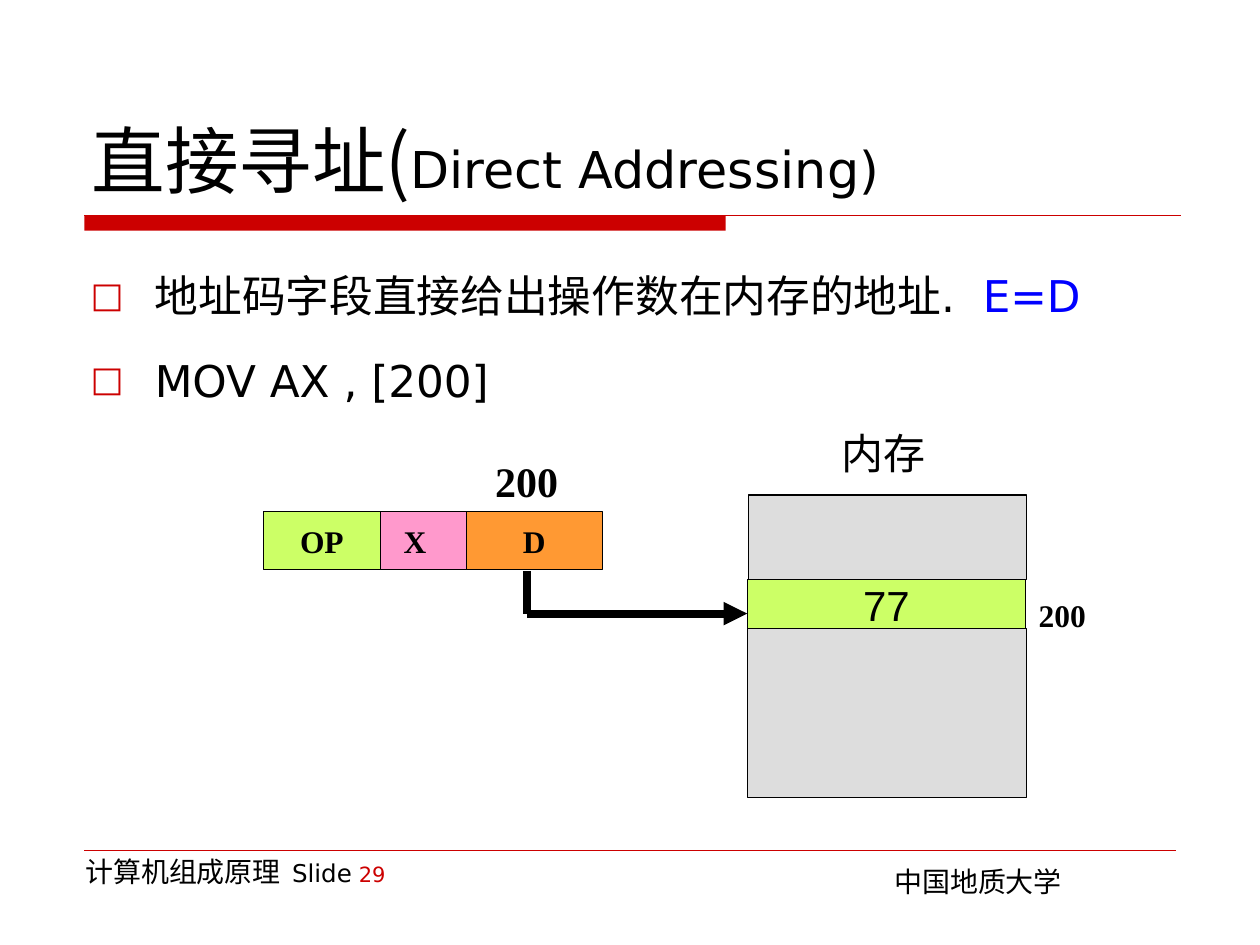
from dataclasses import dataclass
from typing import Optional

from lxml.etree import SubElement
from pptx import Presentation
from pptx.dml.color import RGBColor
from pptx.enum.shapes import MSO_CONNECTOR, MSO_SHAPE
from pptx.enum.text import MSO_ANCHOR, PP_ALIGN
from pptx.oxml.ns import qn
from pptx.util import Inches, Pt

BLACK = RGBColor(0x00, 0x00, 0x00)
RED = RGBColor(0xCC, 0x00, 0x00)
BLUE = RGBColor(0x00, 0x00, 0xFF)
GRAY = RGBColor(0xDD, 0xDD, 0xDD)
LIME = RGBColor(0xCC, 0xFF, 0x66)
PINK = RGBColor(0xFF, 0x99, 0xCC)
ORANGE = RGBColor(0xFF, 0x99, 0x33)

SANS = "DejaVu Sans"
CJK = "Noto Sans CJK JP"
SERIF = "Times New Roman"


@dataclass
class TextRun:
    text: str
    size: float
    font: str = SANS
    color: RGBColor = BLACK
    bold: bool = False
    tracking: float = 0


@dataclass
class Box:
    left: float
    top: float
    width: float
    height: float
    fill: RGBColor
    label: Optional[TextRun] = None
    right_inset: float = 0.1


@dataclass
class Caption:
    left: float
    top: float
    width: float
    height: float
    runs: list[TextRun]
    centered: bool = True
    anchor: MSO_ANCHOR = MSO_ANCHOR.TOP


def add_runs(paragraph, runs: list[TextRun]) -> None:
    for text_run in runs:
        run = paragraph.add_run()
        run.text = text_run.text
        font = run.font
        font.size = Pt(text_run.size)
        font.name = text_run.font
        font.bold = text_run.bold
        font.color.rgb = text_run.color
        if text_run.tracking:
            run._r.get_or_add_rPr().set("spc", str(int(text_run.tracking * 100)))


def add_box(slide, box: Box, outlined: bool = True) -> None:
    shape = slide.shapes.add_shape(
        MSO_SHAPE.RECTANGLE, Inches(box.left), Inches(box.top),
        Inches(box.width), Inches(box.height))
    shape.shadow.inherit = False
    shape.fill.solid()
    shape.fill.fore_color.rgb = box.fill
    if outlined:
        shape.line.color.rgb = BLACK
        shape.line.width = Pt(0.75)
    else:
        shape.line.fill.background()
    if box.label:
        text_frame = shape.text_frame
        text_frame.word_wrap = False
        text_frame.vertical_anchor = MSO_ANCHOR.MIDDLE
        text_frame.margin_right = Inches(box.right_inset)
        text_frame.paragraphs[0].alignment = PP_ALIGN.CENTER
        add_runs(text_frame.paragraphs[0], [box.label])


def add_caption(slide, caption: Caption):
    """Add a text box; centred captions use its full width on one line."""
    shape = slide.shapes.add_textbox(
        Inches(caption.left), Inches(caption.top),
        Inches(caption.width), Inches(caption.height))
    text_frame = shape.text_frame
    text_frame.word_wrap = not caption.centered
    text_frame.vertical_anchor = caption.anchor
    paragraph = text_frame.paragraphs[0]
    paragraph.alignment = PP_ALIGN.LEFT
    if caption.centered:
        paragraph.alignment = PP_ALIGN.CENTER
        text_frame.margin_left = text_frame.margin_right = Inches(0)
    add_runs(paragraph, caption.runs)
    return text_frame


def format_bullet(paragraph) -> None:
    properties = paragraph._p.get_or_add_pPr()
    properties.set("marL", str(Inches(0.51)))
    properties.set("indent", str(-Inches(0.51)))
    color = SubElement(properties, qn("a:buClr"))
    SubElement(color, qn("a:srgbClr"), val=str(RED))
    SubElement(properties, qn("a:buSzPct"), val="80000")
    SubElement(properties, qn("a:buFont"), typeface=SANS)
    SubElement(properties, qn("a:buChar"), char="□")
    paragraph.line_spacing = 1.4


def add_line(slide, start: tuple[float, float], end: tuple[float, float],
             color: RGBColor, width: float, arrow: bool = False) -> None:
    connector = slide.shapes.add_connector(
        MSO_CONNECTOR.STRAIGHT, Inches(start[0]), Inches(start[1]),
        Inches(end[0]), Inches(end[1]))
    connector.line.color.rgb = color
    connector.line.width = Pt(width)
    if arrow:
        SubElement(connector.line._get_or_add_ln(), qn("a:tailEnd"), type="triangle")
    SubElement(connector._element.spPr, qn("a:effectLst"))


def add_frame(slide) -> None:
    """Add the title, its rule and the footer."""
    add_box(slide, Box(0.67, 1.71, 5.09, 0.12, RED), outlined=False)
    add_line(slide, (0.67, 1.71), (9.37, 1.71), RED, 1)
    add_line(slide, (0.67, 6.75), (9.33, 6.75), RED, 0.25)
    add_caption(slide, Caption(7, 6.81, 3, 0.52, [TextRun("中国地质大学", 16)], False))
    add_caption(slide, Caption(0.58, 6.73, 3, 0.52, [
        TextRun("计算机组成原理", 16), TextRun(" ", 16, tracking=2.8),
        TextRun("Slide", 14), TextRun(" ", 12), TextRun("29", 12, color=RED)], False))
    add_caption(slide, Caption(0.63, 0.33, 8.75, 1.33, [
        TextRun("直接寻址(", 42, CJK), TextRun("Direct Addressing)", 29)],
        False, MSO_ANCHOR.BOTTOM))


def add_body(slide) -> None:
    text_frame = add_caption(slide, Caption(0.62, 1.92, 8.75, 2.25, [
        TextRun("地址码字段直接给出操作数在内存的地址.", 25),
        TextRun(" ", 25, tracking=8), TextRun("E=D", 25, color=BLUE)], False))
    example = text_frame.add_paragraph()
    add_runs(example, [TextRun("MOV AX , [200]", 25)])
    for paragraph in text_frame.paragraphs:
        format_bullet(paragraph)
    example.space_before = Pt(6.2)


def add_diagram(slide) -> None:
    memory = [
        Box(5.94, 3.93, 2.21, 0.67, GRAY),
        Box(5.93, 4.6, 2.21, 0.39, LIME, TextRun("77", 24, "Arial")),
        Box(5.93, 4.99, 2.22, 1.34, GRAY),
    ]
    for box in memory:
        add_box(slide, box)

    corner = (4.18, 4.87)
    add_line(slide, corner, (5.93, 4.87), BLACK, 4.5, arrow=True)
    add_line(slide, corner, (4.18, 4.53), BLACK, 4.5)

    left = 2.09
    fields = [("OP", 0.93, LIME, 0.1), ("X", 0.68, PINK, 0.23), ("D", 1.08, ORANGE, 0.1)]
    for name, width, fill, right_inset in fields:
        label = TextRun(name, 18, SERIF, bold=True)
        add_box(slide, Box(left, 4.06, width, 0.46, fill, label, right_inset))
        left += width

    captions = [
        Caption(3.9, 3.57, 0.56, 0.4, [TextRun("200", 24, SERIF, bold=True)]),
        Caption(8.12, 4.68, 0.62, 0.4, [TextRun("200", 18, SERIF, bold=True)]),
        Caption(6.58, 3.34, 0.86, 0.5, [TextRun("内存", 24, SERIF)]),
    ]
    for caption in captions:
        add_caption(slide, caption)


def main() -> None:
    presentation = Presentation()
    presentation.slide_width = Inches(10)
    presentation.slide_height = Inches(7.5)
    slide = presentation.slides.add_slide(presentation.slide_layouts[6])
    add_frame(slide)
    add_body(slide)
    add_diagram(slide)
    presentation.save("out.pptx")


if __name__ == "__main__":
    main()
